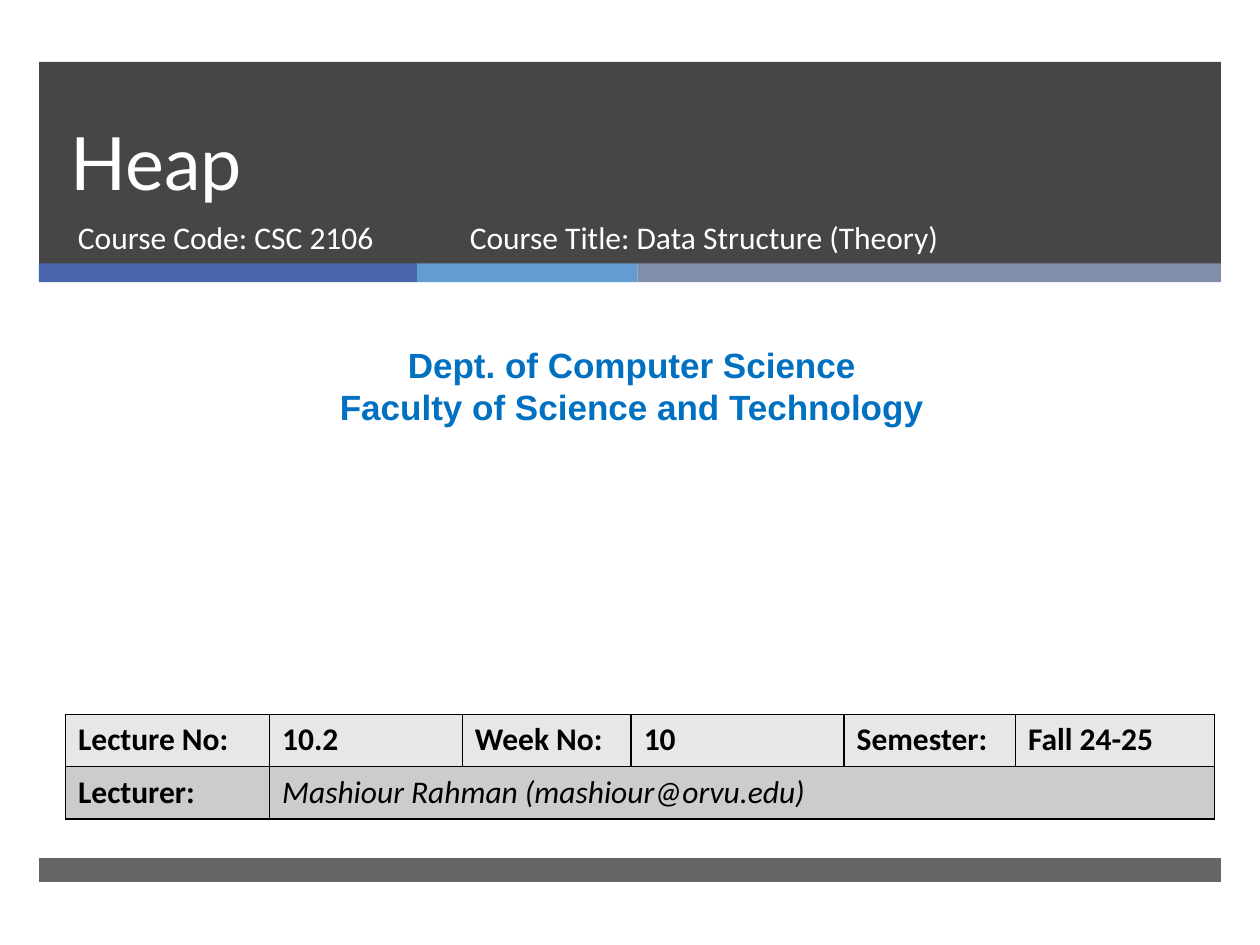
from lxml import etree
from pptx import Presentation
from pptx.dml.color import RGBColor
from pptx.enum.shapes import MSO_SHAPE
from pptx.enum.text import MSO_ANCHOR, PP_ALIGN
from pptx.oxml.ns import qn
from pptx.util import Inches, Pt

RECT = MSO_SHAPE.RECTANGLE
TOP, BOTTOM = MSO_ANCHOR.TOP, MSO_ANCHOR.BOTTOM
LEFT, CENTER = PP_ALIGN.LEFT, PP_ALIGN.CENTER

WHITE = RGBColor(0xFF, 0xFF, 0xFF)
BLACK = RGBColor(0, 0, 0)
DARK = RGBColor(0x26, 0x26, 0x26)
INDIGO = RGBColor(0x4A, 0x66, 0xAC)
SKY = RGBColor(0x62, 0x9D, 0xD1)
SLATE = RGBColor(0x7F, 0x8F, 0xA9)
BLUE = RGBColor(0x00, 0x70, 0xC0)
PALE = RGBColor(0xE7, 0xE7, 0xE7)
GREY = RGBColor(0xCC, 0xCC, 0xCC)

EDGE, WIDTH = 0.31, 9.38
# top, height, opacity in percent
BANDS = [(0.49, 1.61, 85), (6.81, 0.19, 70)]
STRIPE = [(3, INDIGO), (1.75, SKY), (4.63, SLATE)]

TITLE = "Heap"
COURSE = [
    ("Course Code: CSC 2106", (0.52, 1.68, 3.05, 0.53)),
    ("Course Title: Data Structure (Theory)", (3.63, 1.68, 4.55, 0.53)),
]
DEPT = ["Dept. of Computer Science", "Faculty of Science and Technology"]
ROWS = [
    ["Lecture No:", "10.2", "Week No:", "10", "Semester:", "Fall 24-25"],
    ["Lecturer:", "Mashiour Rahman (mashiour@orvu.edu)"],
]
FILLS = [PALE, GREY]
COLS = [1.62, 1.53, 1.34, 1.69, 1.36, 1.58]
ROW_H = 0.415


def add_bar(slide, box, color, alpha=100):
    bar = slide.shapes.add_shape(RECT, *map(Inches, box))
    bar.shadow.inherit = False
    bar.fill.solid()
    bar.fill.fore_color.rgb = color
    bar.line.fill.background()
    if alpha < 100:
        tint = bar.fill._xPr.find(".//" + qn("a:srgbClr"))
        etree.SubElement(tint, qn("a:alpha"), val=str(alpha * 1000))


def style(para, font, size, color, bold=False, align=LEFT):
    para.alignment = align
    para.font.name = font
    para.font.size = Pt(size)
    para.font.color.rgb = color
    para.font.bold = bold


def add_text(slide, box, lines, *look, **more):
    frame = slide.shapes.add_textbox(*map(Inches, box)).text_frame
    frame.word_wrap = True
    frame.text = "\n".join(lines)
    for para in frame.paragraphs:
        style(para, *look, **more)


def add_border(cell):
    """Draw a black 1 pt line on all four sides."""
    props = cell._tc.get_or_add_tcPr()
    for i, side in enumerate(("lnL", "lnR", "lnT", "lnB")):
        line = etree.Element(qn("a:" + side), w=str(Pt(1)))
        fill = etree.SubElement(line, qn("a:solidFill"))
        etree.SubElement(fill, qn("a:srgbClr"), val=str(BLACK))
        props.insert(i, line)


def add_title(slide):
    title = slide.shapes.title
    title.left, title.top, title.width, title.height = map(
        Inches, (0.46, 0.49, 8.54, 1.19))
    frame = title.text_frame
    frame.text = TITLE
    frame.vertical_anchor = BOTTOM
    para = frame.paragraphs[0]
    style(para, "Lato", 42, WHITE)
    para.line_spacing = Pt(46)


def add_grid(slide):
    box = map(Inches, (0.52, 5.67, sum(COLS), ROW_H * len(ROWS)))
    table = slide.shapes.add_table(len(ROWS), len(COLS), *box).table
    for col, width in zip(table.columns, COLS):
        col.width = Inches(width)
    table.cell(1, 1).merge(table.cell(1, len(COLS) - 1))
    for r, (texts, fill) in enumerate(zip(ROWS, FILLS)):
        for c in range(len(COLS)):
            cell = table.cell(r, c)
            cell.fill.solid()
            cell.fill.fore_color.rgb = fill
            add_border(cell)
            if c < len(texts):
                cell.text = texts[c]
                cell.vertical_anchor = TOP
                style(cell.text_frame.paragraphs[0], "Calibri", 18, BLACK, True)
    name = table.cell(1, 1).text_frame.paragraphs[0].font
    name.bold, name.italic = False, True


def main():
    deck = Presentation()
    deck.slide_width, deck.slide_height = Inches(10), Inches(7.5)
    slide = deck.slides.add_slide(deck.slide_layouts[5])
    for top, height, alpha in BANDS:
        add_bar(slide, (EDGE, top, WIDTH, height), DARK, alpha)
    left = EDGE
    for width, color in STRIPE:
        add_bar(slide, (left, 2.09, width, 0.15), color)
        left += width
    # Bring the title in front of the bands
    tree = slide.shapes._spTree
    tree.append(slide.shapes.title._element)
    add_title(slide)
    for text, box in COURSE:
        add_text(slide, box, [text], "Calibri", 18, WHITE)
    add_text(slide, (0.08, 2.68, 9.87, 0.77), DEPT,
             "Arial", 20, BLUE, bold=True, align=CENTER)
    add_grid(slide)
    deck.save("out.pptx")


if __name__ == "__main__":
    main()
